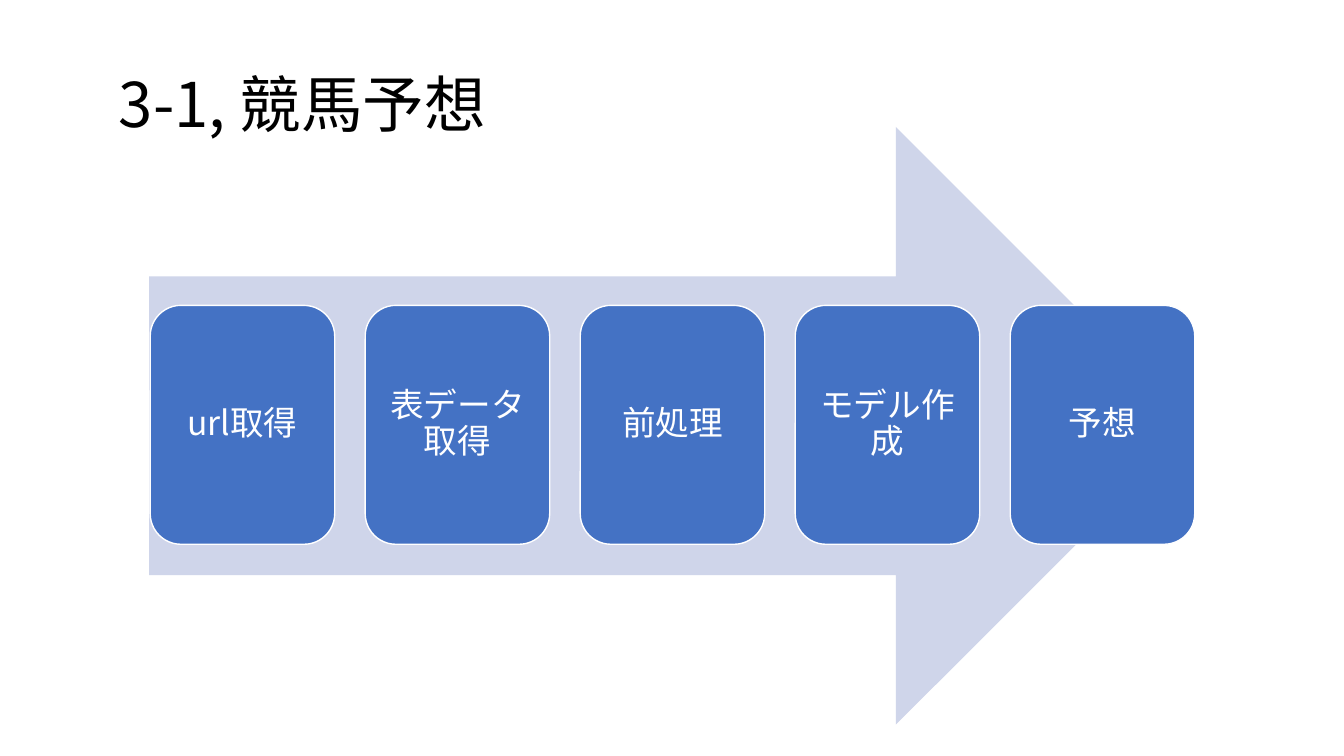
from lxml.etree import SubElement
from pptx import Presentation
from pptx.dml.color import RGBColor
from pptx.enum.shapes import MSO_SHAPE
from pptx.enum.text import MSO_ANCHOR, PP_ALIGN
from pptx.oxml.ns import qn
from pptx.util import Inches, Pt

COLORS = {"title": "000000", "arrow": "CFD5EA", "step": "4472C4", "white": "FFFFFF"}
FONT = "Noto Sans CJK JP"
STEPS = ["url取得", "表データ取得", "前処理", "モデル作成", "予想"]
STEP_LEFT, STEP_PITCH = 1.49, 2.1325


def color(name):
    return RGBColor.from_string(COLORS[name])


def write_text(frame, text, size, color_name, align, inset):
    frame.word_wrap = True
    frame.vertical_anchor = MSO_ANCHOR.MIDDLE
    frame.margin_left = frame.margin_right = Inches(inset)
    frame.margin_top = frame.margin_bottom = Inches(inset)
    paragraph = frame.paragraphs[0]
    paragraph.text = text
    paragraph.alignment = align
    paragraph.line_spacing = 0.9
    font = paragraph.font
    font.size = Pt(size)
    font.name = FONT
    font.color.rgb = color(color_name)
    defaults = paragraph._p.pPr.find(qn("a:defRPr"))
    SubElement(defaults, qn("a:ea")).set("typeface", FONT)


def add_title(slide, text):
    title = slide.shapes.add_textbox(Inches(1.05), Inches(0.65), Inches(11.23), Inches(0.84))
    write_text(title.text_frame, text, 44, "title", PP_ALIGN.JUSTIFY, 0.13)


def add_filled_shape(slide, preset, left, top, width, height, fill):
    shape = slide.shapes.add_shape(
        preset, Inches(left), Inches(top), Inches(width), Inches(height)
    )
    shape.shadow.inherit = False
    shape.fill.solid()
    shape.fill.fore_color.rgb = color(fill)
    return shape


def add_flow_arrow(slide):
    arrow = add_filled_shape(slide, MSO_SHAPE.RIGHT_ARROW, 1.48, 1.26, 10.37, 5.93, "arrow")
    arrow.line.fill.background()


def add_step(slide, left, text):
    step = add_filled_shape(
        slide, MSO_SHAPE.ROUNDED_RECTANGLE, left, 3.03, 1.83, 2.37, "step"
    )
    step.line.color.rgb = color("white")
    step.line.width = Pt(1)
    write_text(step.text_frame, text, 24, "white", PP_ALIGN.CENTER, 0.1)


def main():
    presentation = Presentation()
    presentation.slide_width = Inches(13.33)
    presentation.slide_height = Inches(7.5)
    slide = presentation.slides.add_slide(presentation.slide_layouts[6])
    add_title(slide, "3-1, 競馬予想")
    add_flow_arrow(slide)
    for index, text in enumerate(STEPS):
        add_step(slide, STEP_LEFT + index * STEP_PITCH, text)
    presentation.save("out.pptx")


if __name__ == "__main__":
    main()
